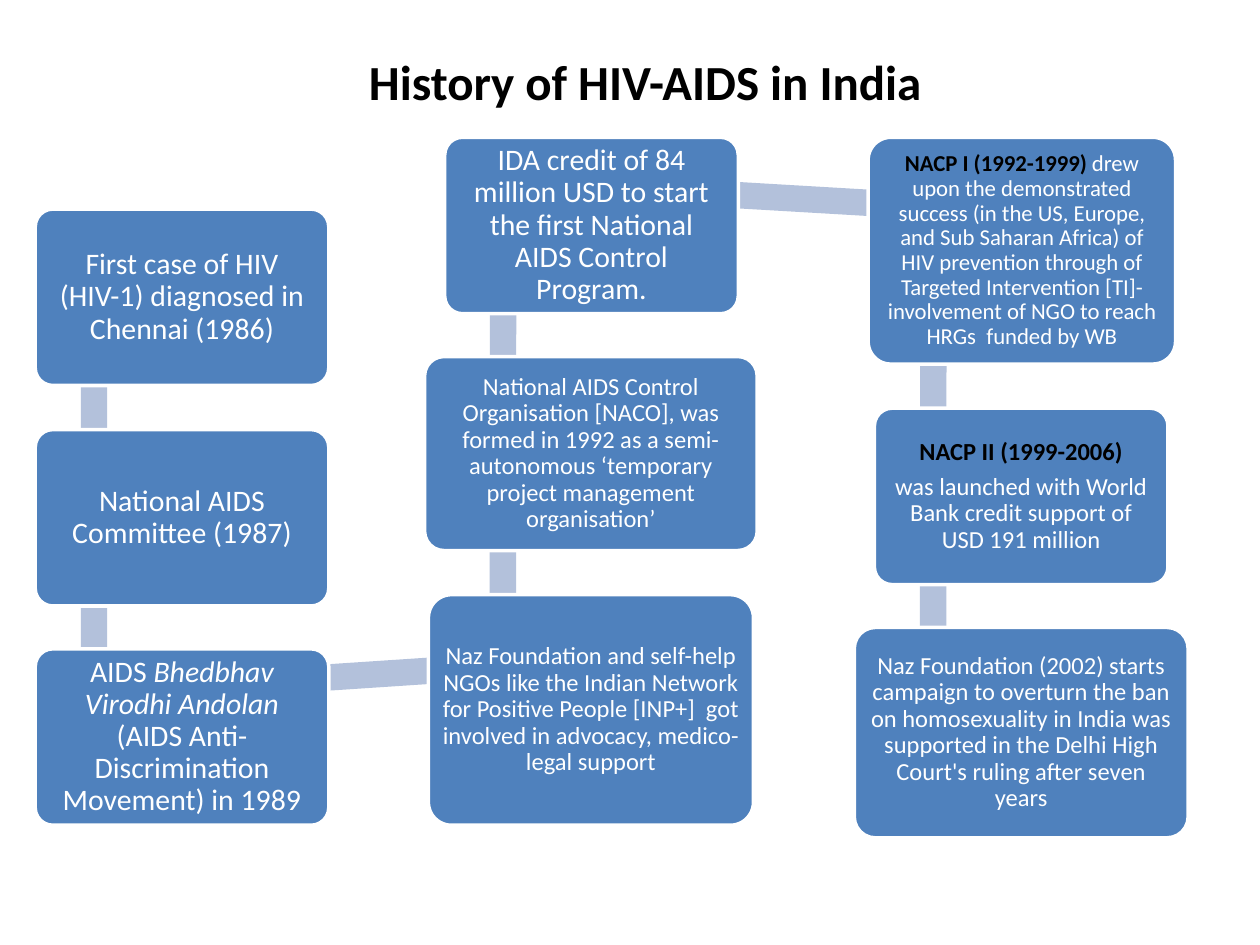
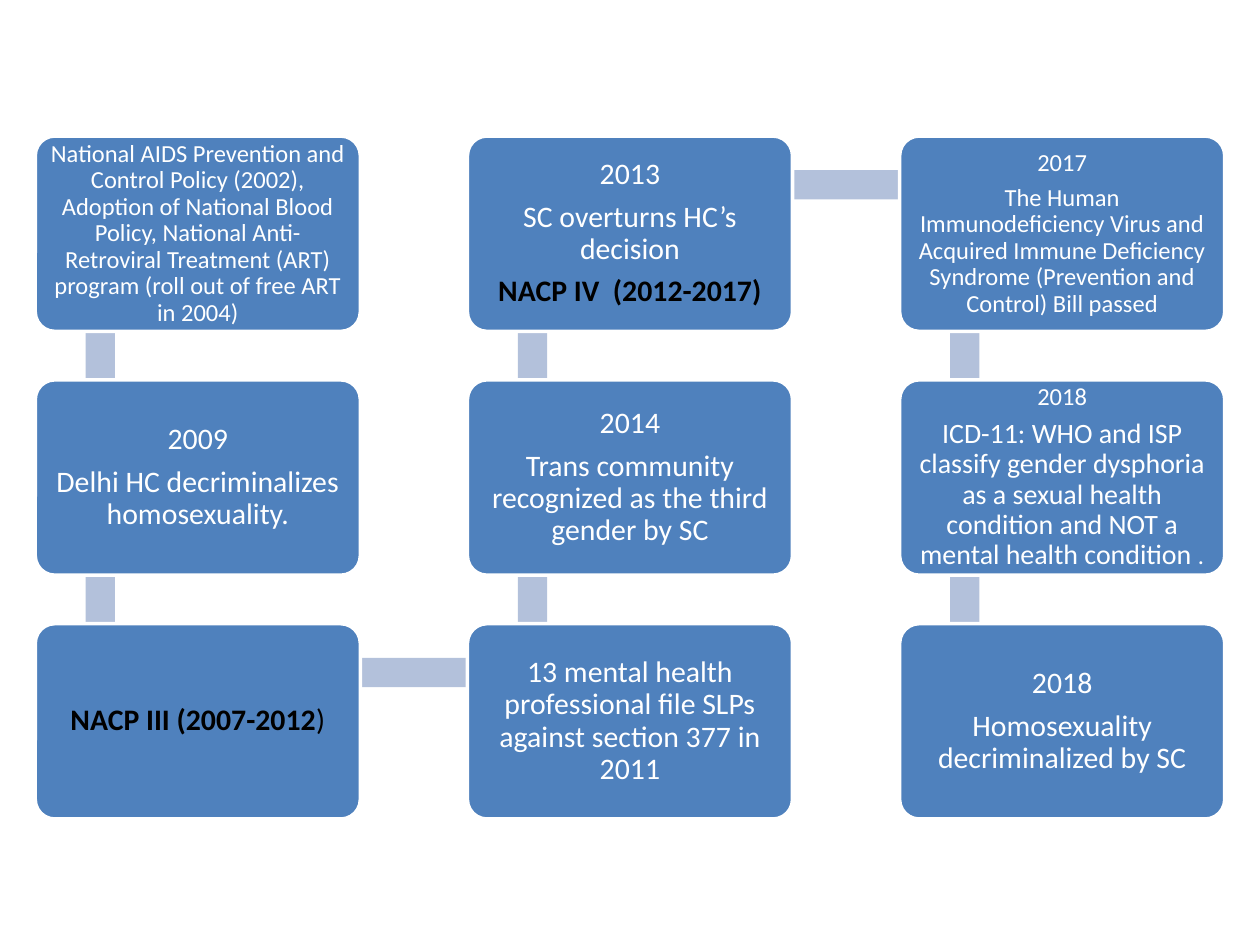
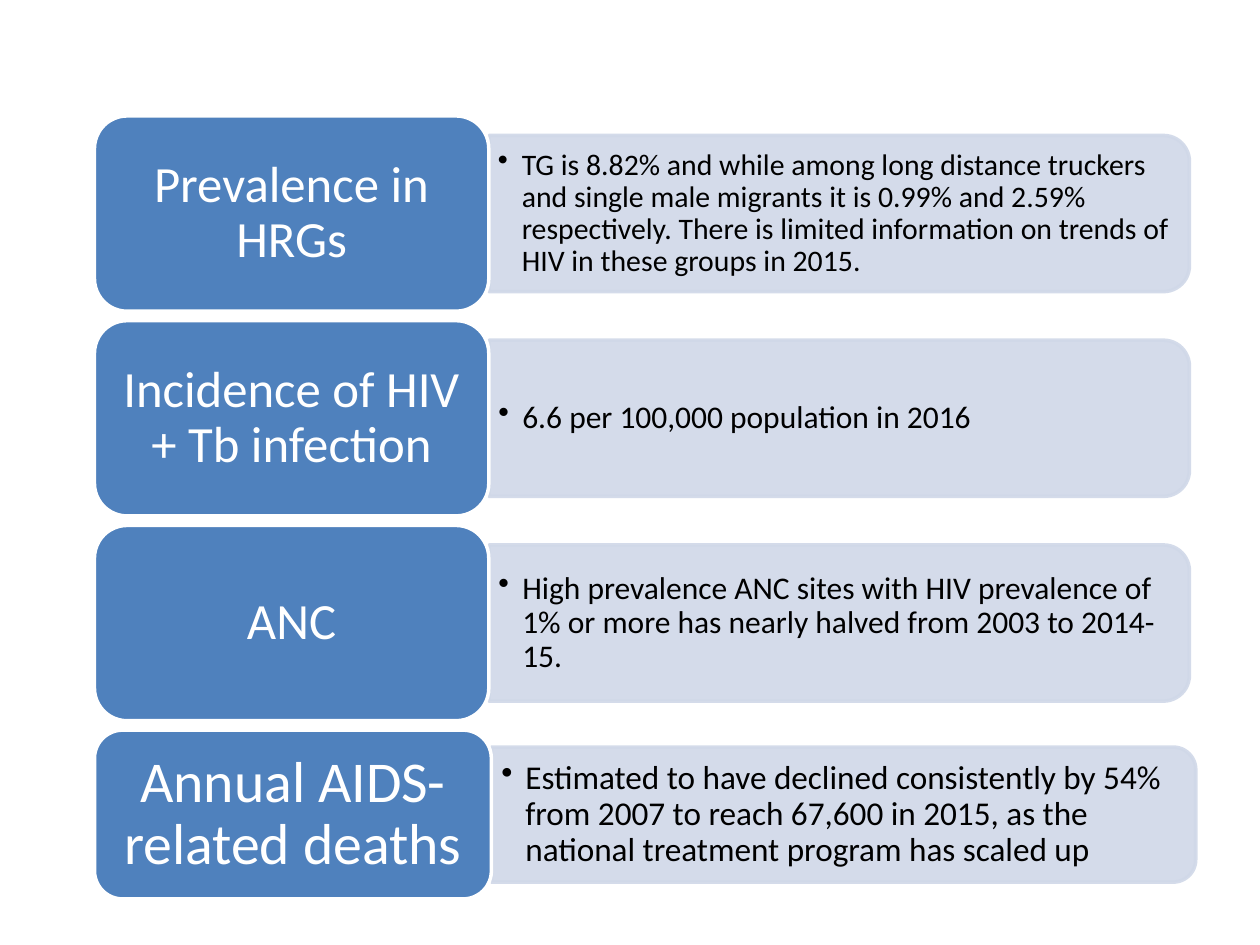
from dataclasses import dataclass
from math import atan2, degrees, hypot

from lxml import etree
from pptx import Presentation
from pptx.dml.color import RGBColor
from pptx.enum.shapes import MSO_SHAPE
from pptx.enum.text import MSO_ANCHOR, PP_ALIGN
from pptx.oxml.ns import qn
from pptx.util import Inches, Pt

FONT = "Calibri"
BLUE = RGBColor(0x4F, 0x81, 0xBD)
LINK_BLUE = RGBColor(0xB3, 0xC1, 0xDB)
PALE_BLUE = RGBColor(0xD0, 0xD8, 0xE8)
WHITE = RGBColor(0xFF, 0xFF, 0xFF)
BLACK = RGBColor(0, 0, 0)

RECT = MSO_SHAPE.RECTANGLE
ROUND_RECT = MSO_SHAPE.ROUNDED_RECTANGLE
ROUND_TWO_CORNERS = MSO_SHAPE.ROUND_2_SAME_RECTANGLE
MIDDLE = MSO_ANCHOR.MIDDLE
LEFT, CENTER = PP_ALIGN.LEFT, PP_ALIGN.CENTER

INSET_PER_POINT = 0.0042
BULLET_INDENT = 0.19


@dataclass
class Run:
    text: str
    color: RGBColor = WHITE
    bold: bool = False
    italic: bool = False
    size: int = 0


@dataclass
class Card:
    """One step of a timeline; each paragraph is a list of runs or plain words."""
    size: int
    paragraphs: list
    box: tuple = ()


def phase(text):
    return Run(text, BLACK, bold=True)


def add_runs(paragraph, runs, size):
    for item in runs:
        part = item if isinstance(item, Run) else Run(item)
        run = paragraph.add_run()
        run.text = part.text
        run.font.name = FONT
        run.font.size = Pt(part.size or size)
        run.font.bold = part.bold
        run.font.italic = part.italic
        run.font.color.rgb = part.color


def fill_text(frame, paragraphs, size, align=CENTER, inset_ratio=1.0, bullet=False):
    """Write paragraphs; insets grow with the text size, top and bottom by inset_ratio."""
    frame.word_wrap = True
    frame.vertical_anchor = MIDDLE
    inset = size * INSET_PER_POINT
    frame.margin_left = frame.margin_right = Inches(inset)
    frame.margin_top = frame.margin_bottom = Inches(inset * inset_ratio)
    for index, runs in enumerate(paragraphs):
        paragraph = frame.add_paragraph() if index else frame.paragraphs[0]
        paragraph.alignment = align
        paragraph.line_spacing = 0.9
        if index:
            paragraph.space_before = Pt(size * 0.35)
        if bullet:
            add_bullet(paragraph)
        add_runs(paragraph, runs, size)


def add_bullet(paragraph):
    properties = paragraph._p.get_or_add_pPr()
    properties.set("marL", str(Inches(BULLET_INDENT)))
    properties.set("indent", str(-Inches(BULLET_INDENT)))
    etree.SubElement(properties, qn("a:buChar")).set("char", "•")


def add_block(slide, kind, box, fill, line=None):
    shape = slide.shapes.add_shape(kind, *map(Inches, box))
    shape.shadow.inherit = False
    shape.fill.solid()
    shape.fill.fore_color.rgb = fill
    if line is None:
        shape.line.fill.background()
    else:
        shape.line.color.rgb = line
        shape.line.width = Pt(2)
    return shape


def add_title(slide, text):
    title = slide.shapes.add_textbox(Inches(2.09), Inches(0.36), Inches(6.06), Inches(0.57))
    title.text_frame.word_wrap = True
    paragraph = title.text_frame.paragraphs[0]
    paragraph.alignment = CENTER
    add_runs(paragraph, [phase(text)], 28)


def add_link(slide, start, end, thickness):
    """Draw a bar from one point to another, turned to follow them."""
    (x1, y1), (x2, y2) = start, end
    length = hypot(x2 - x1, y2 - y1)
    box = ((x1 + x2 - length) / 2, (y1 + y2 - thickness) / 2, length, thickness)
    bar = add_block(slide, RECT, box, LINK_BLUE)
    bar.rotation = degrees(atan2(y2 - y1, x2 - x1))


def add_timeline(slide, cards, width, height):
    """Link the cards in order; width and height are those of a regular card."""
    joints = []
    for card in cards:
        left, top, card_width, card_height = card.box
        joints.append((left + card_width / 2 - 0.3 * width,
                       top + card_height / 2 - 0.25 * height))
    for start, end in zip(joints, joints[1:]):
        add_link(slide, start, end, 0.09 * width)
    for card in cards:
        block = add_block(slide, ROUND_RECT, card.box, BLUE, WHITE)
        block.adjustments[0] = 0.1
        fill_text(block.text_frame, card.paragraphs, card.size)


def add_finding(slide, top, height, widths, topic, topic_size, fact, fact_size):
    """A topic label with a pale band to its right that holds the fact."""
    label_width, band_width = widths
    label_left = 0.75
    band_left = label_left + label_width
    band_height = 0.8 * height
    middle = top + height / 2
    upright_box = (band_left + (band_width - band_height) / 2, middle - band_width / 2,
                   band_height, band_width)
    band = add_block(slide, ROUND_TWO_CORNERS, upright_box, PALE_BLUE, PALE_BLUE)
    band.rotation = 90
    for color in band._element.spPr.iter(qn("a:srgbClr")):
        etree.SubElement(color, qn("a:alpha")).set("val", "90000")

    fact_height = 0.9 * band_height
    fact_box = (band_left, middle - fact_height / 2, band_width - 0.06, fact_height)
    fact_text = slide.shapes.add_textbox(*map(Inches, fact_box))
    fill_text(fact_text.text_frame, [[Run(fact, BLACK)]], fact_size, LEFT, 0.5, bullet=True)

    label = add_block(slide, ROUND_RECT, (label_left, top, label_width, height), BLUE, WHITE)
    fill_text(label.text_frame, [[topic]], topic_size, inset_ratio=0.5)


def build_early_history(slide):
    width, height = 2.33, 1.4
    cards = [
        Card(17, [["First case of HIV (HIV-1) diagnosed in Chennai (1986)"]],
             (0.28, 1.66, width, height)),
        Card(17, [["National AIDS Committee (1987)"]], (0.28, 3.41, width, height)),
        Card(17, [["AIDS ", Run("Bhedbhav Virodhi Andolan", italic=True),
                   " (AIDS Anti-Discrimination Movement) in 1989"]],
             (0.28, 5.15, width, height)),
        Card(14, [["Naz Foundation and self-help NGOs like the Indian Network for Positive "
                   "People [INP+]  got involved in advocacy, medico-legal support"]],
             (3.4, 4.72, 2.58, 1.83)),
        Card(14, [["National AIDS Control Organisation [NACO], was formed in 1992 as a "
                   "semi-autonomous ‘temporary project management organisation’"]],
             (3.37, 2.83, 2.64, 1.54)),
        Card(17, [["IDA credit of 84 million USD to start the first National AIDS "
                   "Control Program."]], (3.53, 1.09, width, height)),
        Card(13, [[phase("NACP I (1992-1999) "),
                   "drew upon the demonstrated success (in the US, Europe, and Sub Saharan "
                   "Africa) of HIV prevention through of Targeted Intervention [TI]- "
                   "involvement of NGO to reach HRGs  funded by WB"]],
             (6.89, 1.09, 2.44, 1.8)),
        Card(14, [[phase("NACP II (1999-2006)")],
                  ["was launched with World Bank credit support of USD 191 million"]],
             (6.94, 3.24, width, height)),
        Card(14, [["Naz Foundation (2002) starts campaign to overturn the ban on "
                   "homosexuality in India was supported in the Delhi High Court's ruling "
                   "after seven years"]], (6.78, 4.98, 2.65, 1.67)),
    ]
    add_timeline(slide, cards, width, height)
    add_title(slide, "History of HIV-AIDS in India")


def build_recent_history(slide):
    width, height = 2.58, 1.55
    cards = [
        Card(14, [["National AIDS Prevention and Control Policy (2002), Adoption of National "
                   "Blood Policy, National Anti-Retroviral Treatment (ART) program (roll out "
                   "of free ART in 2004)"]]),
        Card(17, [["2009"], ["Delhi HC decriminalizes homosexuality."]]),
        Card(17, [[phase("NACP III (2007-2012"), Run(")", BLACK)]]),
        Card(17, [["13 mental health professional file SLPs against section 377 in 2011"]]),
        Card(17, [["2014"], ["Trans community recognized as the third gender by SC"]]),
        Card(17, [["2013"], ["SC overturns HC’s decision"], [phase("NACP IV  (2012-2017)")]]),
        Card(14, [["2017"],
                  ["The Human Immunodeficiency Virus and Acquired Immune Deficiency Syndrome "
                   "(Prevention and Control) Bill passed"]]),
        Card(14, [["2018"],
                  [Run("ICD-11: WHO and ISP classify gender dysphoria as a sexual health "
                       "condition and NOT a mental health condition ", size=16), "."]]),
        Card(17, [["2018"], ["Homosexuality decriminalized by SC"]]),
    ]
    for index, card in enumerate(cards):
        column, row = divmod(index, 3)
        if column == 1:  # the middle column runs upwards
            row = 2 - row
        card.box = (0.28 + 3.43 * column, 1.08 + 1.935 * row, width, height)
    add_timeline(slide, cards, width, height)


def build_findings(slide):
    regular, final = (1.55, (3.13, 5.56)), (1.34, (3.15, 5.59))
    findings = [
        (regular, "Prevalence in HRGs", 29,
         "TG is 8.82% and while among long distance truckers and single male migrants it is "
         "0.99% and 2.59% respectively. There is limited information on trends of HIV in "
         "these groups in 2015.", 17),
        (regular, "Incidence of HIV + Tb infection", 29,
         "6.6 per 100,000 population in 2016", 18),
        (regular, "ANC", 29,
         "High prevalence ANC sites with HIV prevalence of 1% or more has nearly halved "
         "from 2003 to 2014-15.", 18),
        (final, "Annual AIDS-related deaths", 33,
         "Estimated to have declined consistently by 54% from 2007 to reach 67,600 in 2015, "
         "as the national treatment program has scaled up", 19),
    ]
    for row, ((height, widths), *content) in enumerate(findings):
        add_finding(slide, 0.92 + 1.625 * row, height, widths, *content)


def main():
    deck = Presentation()
    deck.slide_width, deck.slide_height = Inches(10), Inches(7.5)
    blank = deck.slide_layouts[6]
    for build in (build_early_history, build_recent_history, build_findings):
        build(deck.slides.add_slide(blank))
    deck.save("out.pptx")


if __name__ == "__main__":
    main()
